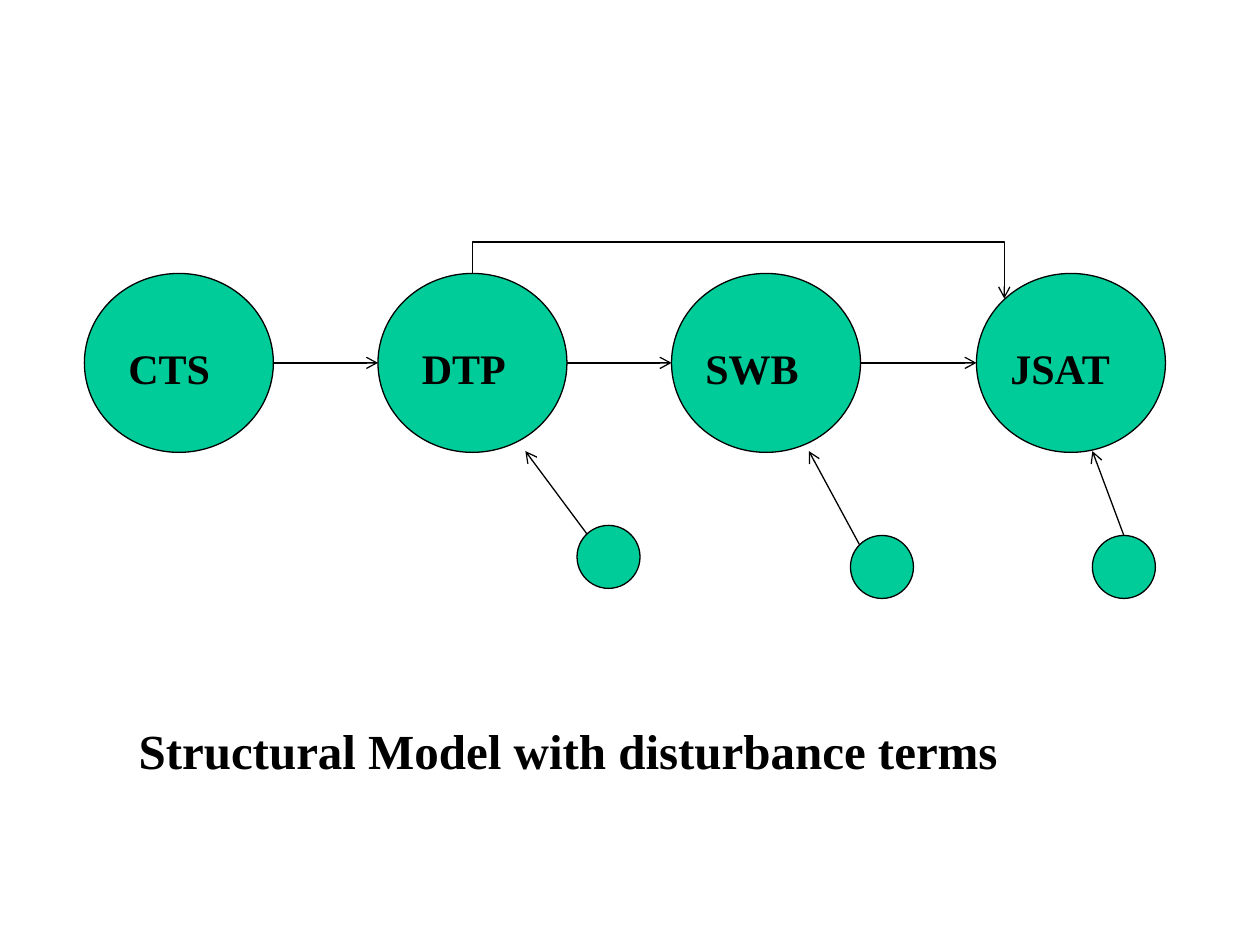
from lxml import etree
from pptx import Presentation
from pptx.dml.color import RGBColor
from pptx.enum.shapes import MSO_CONNECTOR, MSO_SHAPE
from pptx.enum.text import MSO_ANCHOR, MSO_AUTO_SIZE, PP_ALIGN
from pptx.oxml.ns import qn
from pptx.util import Inches, Pt

FONT = "Times New Roman"
GREEN, BLACK = "00CC99", "000000"
NODE_TOP, NODE_W, NODE_H = 2.17, 1.5, 1.42
# name, circle left, label left, label width
NODES = [("CTS", 0.67, 0.92, 1.08), ("DTP", 3, 3.25, 1),
         ("SWB", 5.33, 5.5, 1.08), ("JSAT", 7.75, 7.92, 1.08)]
# circle left and top, arrow start, arrow end
DISTURBANCES = [(4.58, 4.17, (4.66, 4.24), (4.17, 3.58)),
                (6.75, 4.25, (6.82, 4.32), (6.42, 3.58)),
                (8.67, 4.25, (8.92, 4.25), (8.67, 3.58))]


def color(value):
    return RGBColor.from_string(value)


def add_circle(s, left, top, width, height):
    sp = s.shapes.add_shape(MSO_SHAPE.OVAL, Inches(left), Inches(top),
                            Inches(width), Inches(height))
    sp.shadow.inherit = False
    sp.fill.solid()
    sp.fill.fore_color.rgb = color(GREEN)
    sp.line.color.rgb = color(BLACK)
    sp.line.width = Pt(0.75)


def add_arrow(s, start, end, kind=MSO_CONNECTOR.STRAIGHT):
    c = s.shapes.add_connector(kind, *(Inches(v) for v in (*start, *end)))
    c.line.color.rgb = color(BLACK)
    c.line.width = Pt(0.75)
    etree.SubElement(c.line._get_or_add_ln(), qn("a:tailEnd"), type="arrow")
    etree.SubElement(c._element.spPr, qn("a:effectLst"))
    return c


def write_text(sp, text, size):
    tf = sp.text_frame
    tf.text = text
    tf.word_wrap = True
    tf.auto_size = MSO_AUTO_SIZE.SHAPE_TO_FIT_TEXT
    tf.vertical_anchor = MSO_ANCHOR.TOP
    p = tf.paragraphs[0]
    p.alignment = PP_ALIGN.LEFT
    font = p.runs[0].font
    font.name, font.size, font.bold = FONT, Pt(size), True
    font.color.rgb = color(BLACK)


def add_nodes(s):
    for _, left, _, _ in NODES:
        add_circle(s, left, NODE_TOP, NODE_W, NODE_H)
    for name, _, left, width in NODES:
        label = s.shapes.add_textbox(Inches(left), Inches(2.67),
                                     Inches(width), Inches(0.5))
        write_text(label, name, 24)


def add_paths(s):
    # Chain from each node to the next
    y = NODE_TOP + NODE_H / 2
    for node, following in zip(NODES, NODES[1:]):
        add_arrow(s, (node[1] + NODE_W, y), (following[1], y))

    # Elbow over the top from DTP to JSAT, turned a quarter to leave upwards
    (x1, y1), (x2, y2) = (3.75, 2.17), (7.97, 2.37)
    cx, cy = (x1 + x2) / 2, (y1 + y2) / 2
    half_w, half_h = (y2 - y1) / 2, (x2 - x1) / 2
    c = add_arrow(s, (cx + half_w, cy - half_h), (cx - half_w, cy + half_h),
                  MSO_CONNECTOR.ELBOW)
    c._element.spPr.find(qn("a:xfrm")).set("rot", str(270 * 60000))
    guides = c._element.spPr.find(qn("a:prstGeom")).get_or_add_avLst()
    rise = round(-0.25 / (y2 - y1) * 100000)
    etree.SubElement(guides, qn("a:gd"), name="adj1", fmla=f"val {rise}")


def add_disturbances(s):
    for left, top, _, _ in DISTURBANCES:
        add_circle(s, left, top, 0.5, 0.5)
    for _, _, start, end in DISTURBANCES:
        add_arrow(s, start, end)


def set_title(s, left, top, width, height):
    title = s.shapes.title
    title.left, title.top = Inches(left), Inches(top)
    title.width, title.height = Inches(width), Inches(height)
    write_text(title, "Structural Model with disturbance terms", 28)


def main():
    prs = Presentation()
    prs.slide_width, prs.slide_height = Inches(10), Inches(7.5)
    s = prs.slides.add_slide(prs.slide_layouts[5])
    add_nodes(s)
    add_paths(s)
    add_disturbances(s)
    set_title(s, 1, 5.67, 8.42, 0.57)
    prs.save("out.pptx")


if __name__ == "__main__":
    main()
